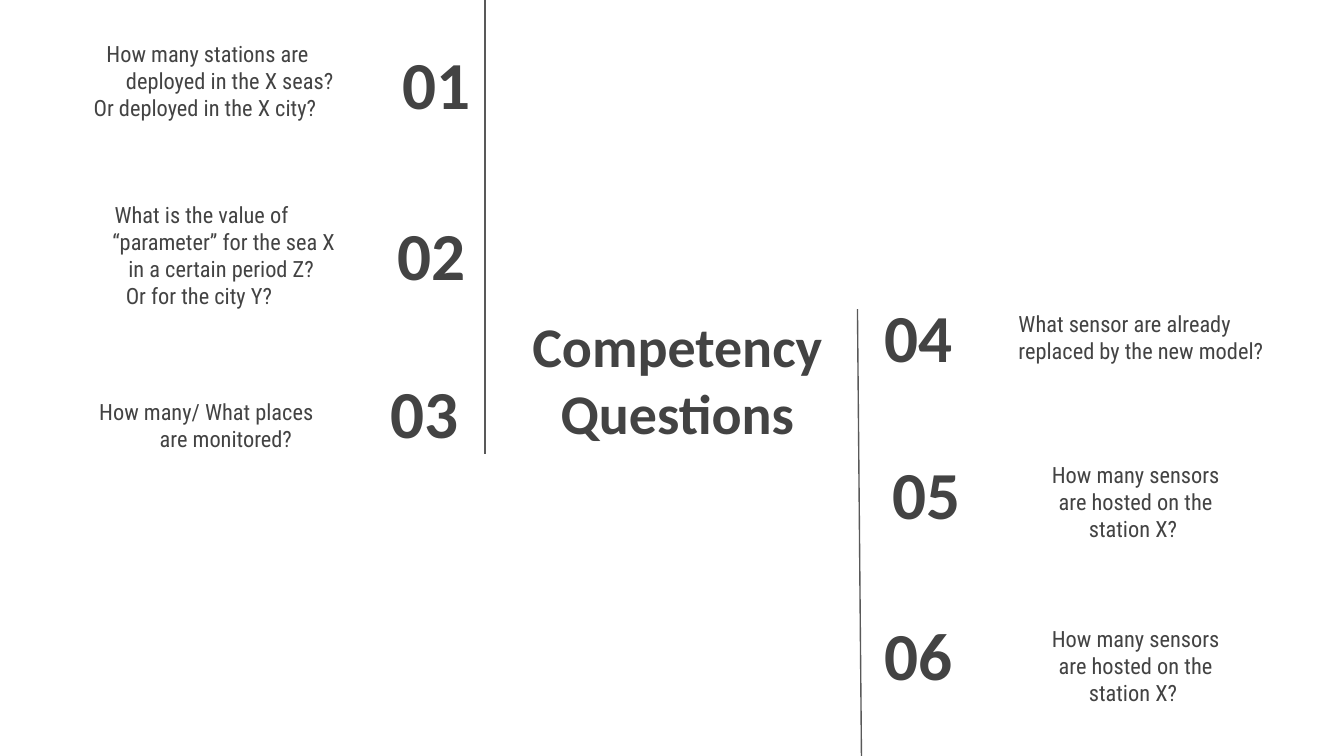
from pptx import Presentation
from pptx.dml.color import RGBColor
from pptx.enum.shapes import MSO_CONNECTOR
from pptx.enum.text import MSO_ANCHOR, PP_ALIGN
from pptx.oxml.ns import qn
from pptx.util import Inches, Pt

INK = RGBColor(0x43, 0x43, 0x43)
RULE = RGBColor(0x59, 0x59, 0x59)
HEAD_FONT = "Calibri"
BODY_FONT = "Roboto Condensed"
LEFT, CENTER, RIGHT = PP_ALIGN.LEFT, PP_ALIGN.CENTER, PP_ALIGN.RIGHT
TOP, MIDDLE = MSO_ANCHOR.TOP, MSO_ANCHOR.MIDDLE
STRAIGHT = MSO_CONNECTOR.STRAIGHT

SENSORS = ["How many sensors", "are hosted on the", "station X? "]

# number, its left and top, its width and alignment
NUMBERS = [
    ("01", 2.39, 0.3, 1.21, RIGHT),
    ("02", 2.35, 1.57, 1.21, RIGHT),
    ("03", 2.3, 2.75, 1.21, RIGHT),
    ("04", 6.48, 2.18, 1.17, LEFT),
    ("05", 6.54, 3.35, 1.17, LEFT),
    ("06", 6.48, 4.55, 1.17, LEFT),
]

# question lines, box, alignment
QUESTIONS = [
    (["How many stations are deployed in the X seas?",
      "Or deployed in the X city? "], (0.33, 0.2, 2.26, 1.1), CENTER),
    (["What is the value of “parameter” for the sea X in a certain period Z? ",
      "Or for the city Y? "], (0.19, 1.4, 2.45, 1.12), CENTER),
    (["How many/ What places are monitored? "],
     (0.39, 2.86, 2.12, 1.02), CENTER),
    (["What sensor are already replaced by the new model?"],
     (7.48, 2.21, 2.16, 1.01), LEFT),
    (SENSORS, (7.45, 3.33, 1.83, 0.63), CENTER),
    (SENSORS, (7.45, 4.55, 1.83, 0.63), CENTER),
]

RULES = [(3.61, 0, 3.61, 3.38), (6.38, 2.3, 6.41, 5.64)]


def add_text(slide, lines, box, align, anchor, font, size, bold=False):
    """Add a text box with one paragraph per line and return its paragraphs."""
    frame = slide.shapes.add_textbox(*map(Inches, box)).text_frame
    frame.word_wrap = True
    frame.vertical_anchor = anchor
    frame.margin_left = frame.margin_right = Inches(0.1)
    frame.margin_top = frame.margin_bottom = Inches(0.1)
    frame.text = "\n".join(lines)
    for para in frame.paragraphs:
        para.alignment = align
        para.font.name = font
        para.font.size = Pt(size)
        para.font.bold = bold
        para.font.color.rgb = INK
    return frame.paragraphs


def add_number(slide, number, left, top, width, align):
    add_text(slide, [number], (left, top, width, 0.63), align, MIDDLE,
             HEAD_FONT, 36, True)


def add_question(slide, lines, box, align):
    """Add a question; centred ones have a hanging indent."""
    paras = add_text(slide, lines, box, align, TOP, BODY_FONT, 12)
    if align == CENTER:
        for para in paras:
            props = para._p.get_or_add_pPr()
            props.set("marL", str(Inches(0.5)))
            props.set("indent", str(Inches(-0.33)))


def add_rule(slide, ends):
    rule = slide.shapes.add_connector(STRAIGHT, *map(Inches, ends))
    rule.line.color.rgb = RULE
    rule.line.width = Pt(0.75)
    props = rule._element.spPr
    props.append(props.makeelement(qn("a:effectLst"), {}))


def main():
    deck = Presentation()
    deck.slide_width = Inches(10)
    deck.slide_height = Inches(10) * 9 // 16
    slide = deck.slides.add_slide(deck.slide_layouts[6])
    add_text(slide, ["Competency\vQuestions"], (3.7, 2.3, 2.68, 1.03),
             CENTER, MIDDLE, HEAD_FONT, 30, True)
    for number in NUMBERS:
        add_number(slide, *number)
    for question in QUESTIONS:
        add_question(slide, *question)
    for ends in RULES:
        add_rule(slide, ends)
    deck.save("out.pptx")


if __name__ == "__main__":
    main()
